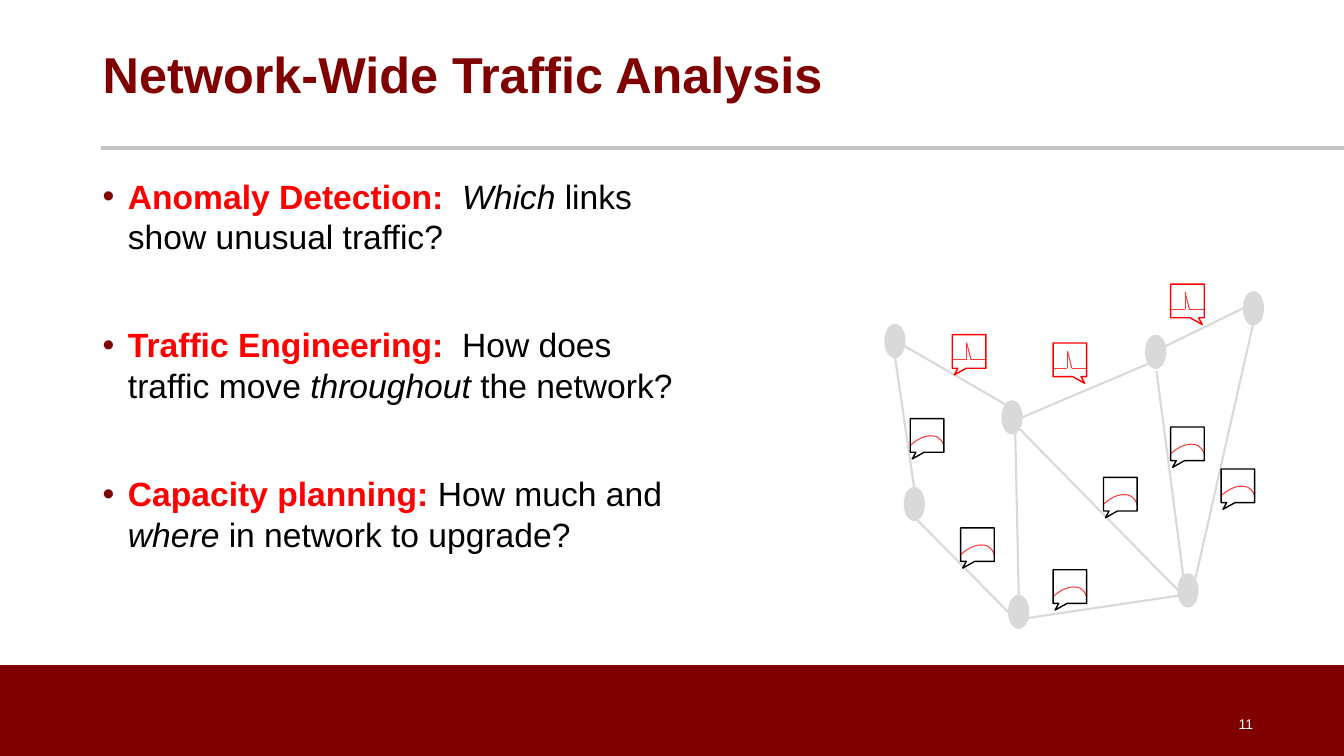
from dataclasses import dataclass
from itertools import pairwise

from lxml.etree import SubElement
from pptx import Presentation
from pptx.dml.color import RGBColor
from pptx.enum.shapes import MSO_CONNECTOR, MSO_SHAPE
from pptx.enum.text import MSO_ANCHOR, MSO_AUTO_SIZE, PP_ALIGN
from pptx.oxml.ns import qn
from pptx.util import Pt

TITLE = "Network-Wide Traffic Analysis"
PAGE_NUMBER = "11"
BULLETS = [
    [("Anomaly Detection:  ", "lead"), ("Which", "italic"),
     (" links show unusual traffic?", "plain")],
    [("Traffic Engineering:", "lead"), ("  How does traffic move ", "plain"),
     ("throughout", "italic"), (" the network?", "plain")],
    [("Capacity planning:", "lead"), (" How much and ", "plain"),
     ("where", "italic"), (" in network to upgrade?", "plain")],
]

# Network geometry: node centres, link ends, callout corners
NODES = [(639.2, 243.6), (722.9, 298.1), (825.5, 251.3), (895.3, 220.3),
         (653.1, 360), (727.6, 437), (848.5, 421.7)]
LINKS = [
    ((639.4, 255.6), (653, 348.5)),
    ((655.2, 371.5), (720, 437)),
    ((717.8, 288.7), (645.8, 247)),
    ((820.1, 259.9), (730.1, 298.1)),
    ((895, 231.8), (853.9, 413.3)),
    ((725.2, 308.9), (727.7, 424.8)),
    ((727.9, 306), (841.7, 421.9)),
    ((831.6, 247.7), (887.8, 220.3)),
    ((826.1, 265), (846, 417.6)),
    ((734.4, 441.4), (841.7, 425.5)),
]
UNUSUAL = [(680.2, 239, "left"), (836.2, 203, "right"), (752.2, 245, "right")]
NORMAL = [(650.2, 299), (752.2, 407), (836.2, 305), (788.2, 341),
          (686.2, 377), (872.2, 335)]

# Traffic traces, measured from a callout's corner
SPIKE = [(0, 18), (10.3, 18), (10.3, 5.8), (13.4, 18), (24, 18)]
SWELL = [(0, 19.2),
         (3, 16.5), (6.3, 14.3), (9.5, 13.2),
         (12.7, 12), (16.8, 12), (19.4, 13.2),
         (21.6, 14.3), (22.9, 16.5), (24, 19.2)]
NODE_SIZE = (13.7, 23)
CALLOUT_SIDE = 24


@dataclass(frozen=True)
class Theme:
    font: str = "Arial"
    maroon: str = "800000"
    red: str = "FF0000"
    black: str = "000000"
    white: str = "FFFFFF"
    rule: str = "C2C4C2"
    network: str = "D8D9D8"
    title_size: float = 36
    body_size: float = 24
    number_size: float = 10
    line_height: float = 28.8
    bullet_gap: float = 48.8
    bullet_indent: float = 18


THEME = Theme()


def color(value):
    return RGBColor.from_string(value)


def place(box, left, top, width, height):
    box.left, box.top, box.width, box.height = map(Pt, (left, top, width, height))


def style(span, size, ink, bold=False, italic=False):
    font = span.font
    font.name, font.size = THEME.font, Pt(size)
    font.bold, font.italic = bold, italic
    font.color.rgb = color(ink)


def add_shape(shapes, kind, bounds, fill, outline=None, weight=1):
    shape = shapes.add_shape(kind, *map(Pt, bounds))
    shape.shadow.inherit = False
    shape.fill.solid()
    shape.fill.fore_color.rgb = color(fill)
    if outline:
        shape.line.color.rgb = color(outline)
        shape.line.width = Pt(weight)
    else:
        shape.line.fill.background()
    return shape


def add_line(shapes, start, end, ink, weight):
    line = shapes.add_connector(MSO_CONNECTOR.STRAIGHT, *map(Pt, (*start, *end)))
    line.line.color.rgb = color(ink)
    line.line.width = Pt(weight)
    SubElement(line._element.spPr, qn("a:effectLst"))


def add_bullet(paragraph):
    properties = paragraph._p.get_or_add_pPr()
    properties.set("marL", str(Pt(THEME.bullet_indent)))
    properties.set("indent", str(-Pt(THEME.bullet_indent)))
    ink = SubElement(properties, qn("a:buClr"))
    SubElement(ink, qn("a:srgbClr")).set("val", THEME.maroon)
    SubElement(properties, qn("a:buFont")).set("typeface", THEME.font)
    SubElement(properties, qn("a:buChar")).set("char", "•")


def bend(freeform):
    """Turn each three straight segments of an outline into one Bézier curve."""
    outline = next(freeform._element.iter(qn("a:path")))
    segments = outline.findall(qn("a:lnTo"))
    for first in range(0, len(segments), 3):
        curve = SubElement(outline, qn("a:cubicBezTo"))
        for segment in segments[first:first + 3]:
            curve.append(segment[0])
            outline.remove(segment)


def add_swell(shapes, left, top):
    points = [(Pt(left + x), Pt(top + y)) for x, y in SWELL]
    builder = shapes.build_freeform(*points[0])
    builder.add_line_segments(points[1:], close=False)
    swell = builder.convert_to_shape()
    bend(swell)
    swell.shadow.inherit = False
    swell.fill.background()
    swell.line.color.rgb = color(THEME.red)
    swell.line.width = Pt(0.75)


def add_spike(shapes, left, top):
    points = [(left + x, top + y) for x, y in SPIKE]
    for start, end in pairwise(points):
        add_line(shapes, start, end, THEME.red, 0.75)


def add_callout(page, left, top, add_trace, outline, tail="left"):
    """Group a traffic trace with a see-through callout over it."""
    shapes = page.shapes.add_group_shape().shapes
    add_trace(shapes, left, top)
    frame = add_shape(shapes, MSO_SHAPE.RECTANGULAR_CALLOUT,
                      (left, top, CALLOUT_SIDE, CALLOUT_SIDE), THEME.white, outline)
    frame.adjustments[0] = -0.44 if tail == "left" else 0.44
    frame.adjustments[1] = 0.7
    fill = frame._element.spPr.find(qn("a:solidFill"))
    SubElement(fill[0], qn("a:alpha")).set("val", "22000")


def add_network(page):
    shapes = page.shapes.add_group_shape().shapes
    for start, end in LINKS:
        add_line(shapes, start, end, THEME.network, 1.5)
    width, height = NODE_SIZE
    for x, y in NODES:
        bounds = (x - width / 2, y - height / 2, width, height)
        add_shape(shapes, MSO_SHAPE.OVAL, bounds, THEME.network, THEME.network, 1.5)


def add_text(page):
    title, body = page.placeholders
    place(title, 66.2, 0, 828, 104.4)
    title.text_frame.text = TITLE
    title.text_frame.vertical_anchor = MSO_ANCHOR.MIDDLE
    title.text_frame.auto_size = MSO_AUTO_SIZE.NONE
    heading = title.text_frame.paragraphs[0]
    heading.alignment = PP_ALIGN.LEFT
    style(heading.runs[0], THEME.title_size, THEME.maroon, bold=True)

    place(body, 66.2, 121.7, 423.4, 327.6)
    frame = body.text_frame
    frame.auto_size = MSO_AUTO_SIZE.NONE
    for index, spans in enumerate(BULLETS):
        paragraph = frame.add_paragraph() if index else frame.paragraphs[0]
        add_bullet(paragraph)
        paragraph.line_spacing = Pt(THEME.line_height)
        paragraph.space_before = Pt(THEME.bullet_gap if index else 0)
        for text, role in spans:
            span = paragraph.add_run()
            span.text = text
            lead = role == "lead"
            style(span, THEME.body_size, THEME.red if lead else THEME.black,
                  bold=lead, italic=role == "italic")

    number = page.shapes.add_textbox(*map(Pt, (678.2, 502.6, 223.9, 28.8))).text_frame
    number.word_wrap = True
    number.vertical_anchor = MSO_ANCHOR.MIDDLE
    number.text = PAGE_NUMBER
    number.paragraphs[0].alignment = PP_ALIGN.RIGHT
    style(number.paragraphs[0].runs[0], THEME.number_size, THEME.white)


def main():
    deck = Presentation()
    deck.slide_width, deck.slide_height = Pt(960), Pt(540)
    page = deck.slides.add_slide(deck.slide_layouts[1])
    add_shape(page.shapes, MSO_SHAPE.RECTANGLE, (0, 475, 960, 65), THEME.maroon)
    add_line(page.shapes, (72, 105.8), (960, 105.8), THEME.rule, 3)
    add_text(page)
    add_network(page)
    for corner_left, corner_top, tail in UNUSUAL:
        add_callout(page, corner_left, corner_top, add_spike, THEME.red, tail)
    for corner in NORMAL:
        add_callout(page, *corner, add_swell, THEME.black)
    deck.save("out.pptx")


if __name__ == "__main__":
    main()
